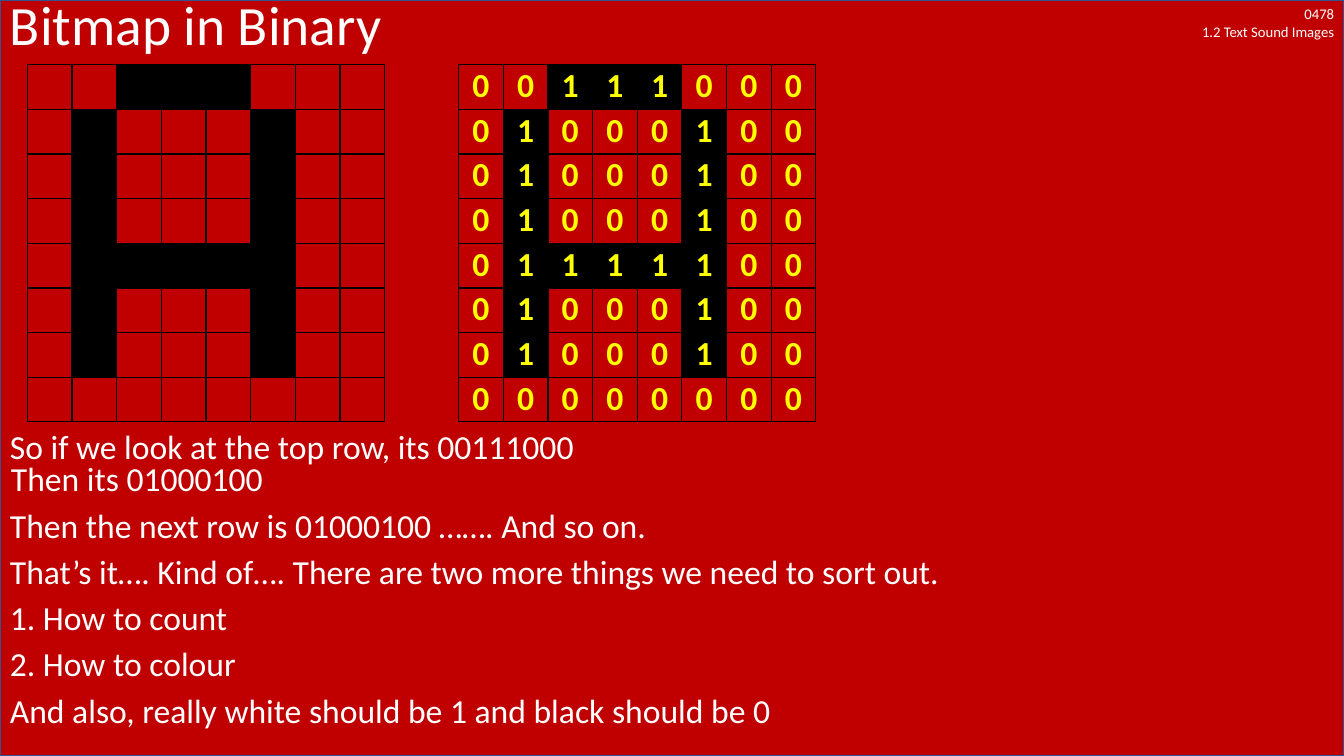
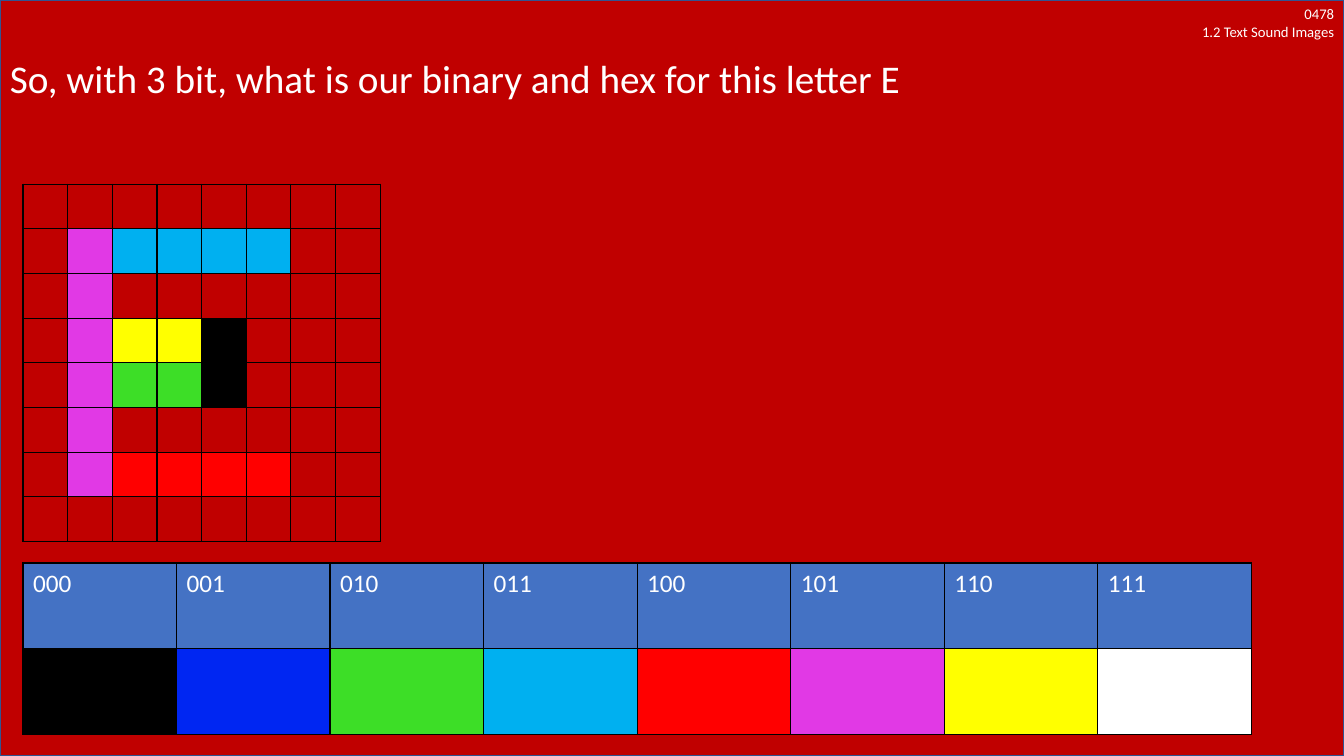
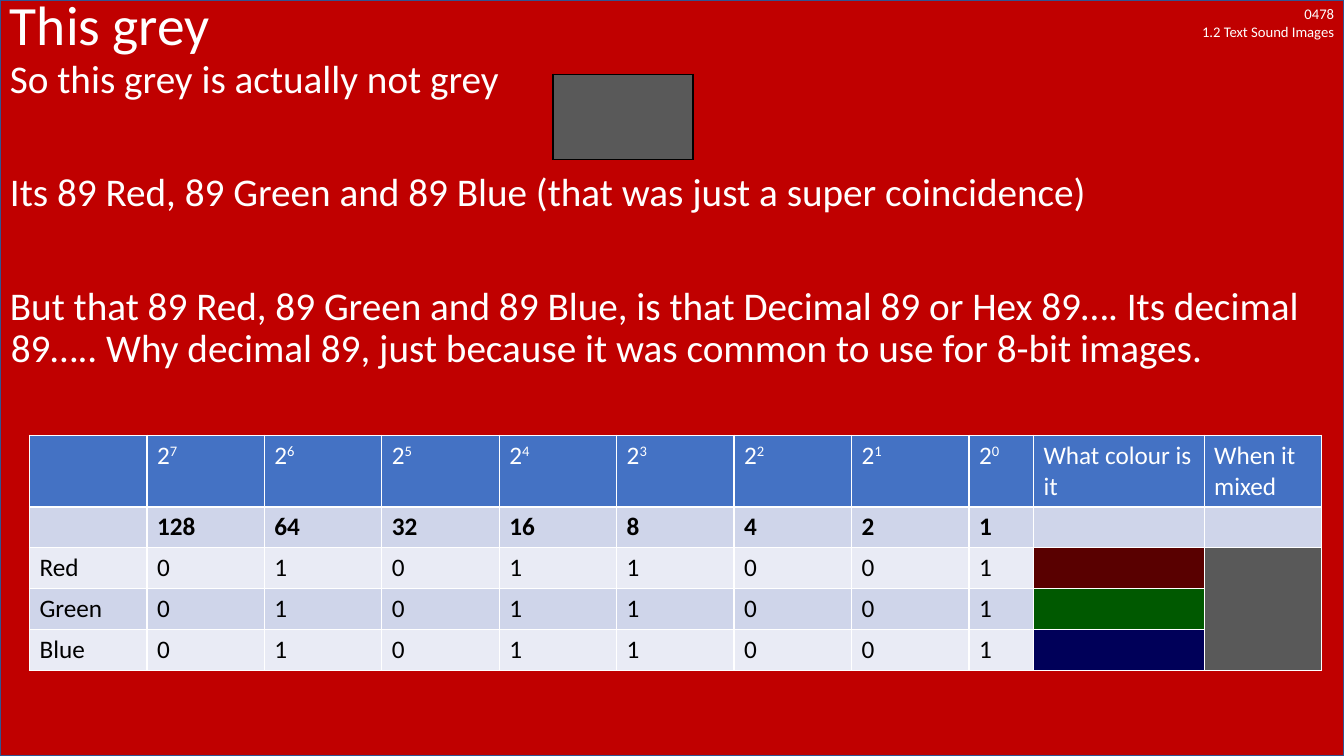
from dataclasses import dataclass
from itertools import chain

from pptx import Presentation
from pptx.dml.color import RGBColor as RGB
from pptx.enum.shapes import MSO_SHAPE as SHAPE
from pptx.enum.text import MSO_ANCHOR as ANCHOR, PP_ALIGN as ALIGN
from pptx.oxml.ns import qn
from pptx.util import Pt
from lxml.etree import SubElement


@dataclass(frozen=True)
class Theme:
    font: str = "Calibri"
    red: str = "C00000"
    edge: str = "325491"
    white: str = "FFFFFF"
    black: str = "000000"
    gold: str = "FFFF00"
    blue: str = "4472C4"
    dark: str = "CFD5EA"
    light: str = "E9EBF5"
    grey: str = "595959"
    title: float = 39.6
    body: float = 28
    bits: float = 24
    cell: float = 18
    note: float = 10.5


T = Theme()
WIDE, HIGH = 960, 540
TOP = 39       # lower edge of the title band
SIDE = 31.9    # side of one pixel in a bitmap
TAG = "0478\n1.2 Text Sound Images"

LETTER_A = ["00111000", "01000100", "01000100", "01000100",
            "01111100", "01000100", "01000100", "00000000"]
STEPS = [
    "So if we look at the top row, its 00111000\nThen its 01000100",
    "Then the next row is 01000100 ……. And so on.",
    "That’s it…. Kind of…. There are two more things we need to sort out.",
    "1. How to count",
    "2. How to colour",
    "And also, really white should be 1 and black should be 0",
]

PALETTE = ["000000", "0026F2", "3DDE27", "00B0F0",
           "FF0000", "E139E5", "FFFF00", "FFFFFF"]
# Each digit is an index into PALETTE; a dot is an empty pixel.
LETTER_E = ["........", ".53333..", ".5......", ".5660...",
            ".5220...", ".5......", ".54444..", "........"]
ASK = ["So, with 3 bit, what is our binary and hex for this letter E"]

GREY = [
    "So this grey is actually not grey",
    "Its 89 Red, 89 Green and 89 Blue (that was just a super coincidence)",
    "But that 89 Red, 89 Green and 89 Blue, is that Decimal 89 or Hex 89…. "
    "Its decimal 89….. Why decimal 89, just because it was common to use "
    "for 8-bit images.",
]
LEVEL = 89
POWERS = range(7, -1, -1)
MIXES = [("Red", "590000"), ("Green", "005900"), ("Blue", "000059")]


def put(frame, paras, size=T.cell, color=T.white, bold=False,
        align=ALIGN.LEFT, line=1.0, gap=0, hang=0):
    """Fill a text frame; a newline breaks a line, ^ raises what follows."""
    frame.word_wrap = True
    for i, text in enumerate(paras):
        para = frame.add_paragraph() if i else frame.paragraphs[0]
        para.alignment, para.line_spacing = align, line
        if i and gap:
            para.space_before = Pt(gap)
        if hang:
            props = para._p.get_or_add_pPr()
            props.set("marL", str(Pt(hang)))
            props.set("indent", str(-Pt(hang)))
        for j, part in enumerate(text.split("\n")):
            if j:
                para.add_line_break()
            for k, bit in enumerate(part.split("^")):
                run = para.add_run()
                run.text = bit
                font = run.font
                font.name, font.size, font.bold = T.font, Pt(size), bold
                font.color.rgb = RGB.from_string(color)
                if k:
                    run._r.get_or_add_rPr().set("baseline", "30000")


def box(slide, left, top, width, height, paras, anchor=ANCHOR.TOP, **form):
    shape = slide.shapes.add_textbox(Pt(left), Pt(top), Pt(width), Pt(height))
    shape.text_frame.vertical_anchor = anchor
    put(shape.text_frame, paras, **form)


def rule(cell, color):
    """Draw a 1 pt border on all four sides."""
    props = cell._tc.get_or_add_tcPr()
    for side in ("a:lnL", "a:lnR", "a:lnT", "a:lnB"):
        line = SubElement(props, qn(side), w=str(Pt(1)))
        fill = SubElement(line, qn("a:solidFill"))
        SubElement(fill, qn("a:srgbClr"), val=color)


def grid(slide, left, top, cols, rows, cells, edge=T.black, inset=None):
    """Add a table; every cell is (text, fill or None, text format)."""
    table = slide.shapes.add_table(
        len(rows), len(cols), Pt(left), Pt(top),
        Pt(sum(cols)), Pt(sum(rows))).table
    table.first_row = table.horz_banding = False
    for col, width in zip(table.columns, cols):
        col.width = Pt(width)
    for row, height in zip(table.rows, rows):
        row.height = Pt(height)
    for cell, (text, fill, form) in zip(table.iter_cells(),
                                        chain.from_iterable(cells)):
        rule(cell, edge)
        if fill:
            cell.fill.solid()
            cell.fill.fore_color.rgb = RGB.from_string(fill)
        else:
            cell.fill.background()
        if inset is not None:
            cell.margin_left = cell.margin_right = Pt(inset)
            cell.margin_top = cell.margin_bottom = Pt(inset)
        if text:
            put(cell.text_frame, [text], **form)
    return table


def bitmap(slide, left, top, rows, inks, show=False):
    form = dict(size=T.bits, color=T.gold, bold=True, align=ALIGN.CENTER)
    cells = [[(bit if show else "", inks.get(bit), form) for bit in row]
             for row in rows]
    grid(slide, left, top, [SIDE] * len(rows[0]), [SIDE] * len(rows),
         cells, inset=0.72)


def page(deck, title=None):
    """Add a slide with the red ground, the tag and an optional title."""
    slide = deck.slides.add_slide(deck.slide_layouts[6])
    back = slide.shapes.add_shape(SHAPE.RECTANGLE, 0, 0, Pt(WIDE), Pt(HIGH))
    back.shadow.inherit = False
    back.fill.solid()
    back.fill.fore_color.rgb = RGB.from_string(T.red)
    back.line.color.rgb = RGB.from_string(T.edge)
    back.line.width = Pt(1)
    box(slide, 809, 0, 151, 32.4, [TAG], size=T.note, align=ALIGN.RIGHT)
    if title:
        box(slide, 0, 0, WIDE, TOP, [title], anchor=ANCHOR.MIDDLE,
            size=T.title, line=0.9)
    return slide


def body(slide, top, paras, size=T.body, line=0.9, gap=10):
    box(slide, 0, top, WIDE, HIGH - top, paras, size=size, line=line,
        gap=gap, hang=0.72)


def binary(deck):
    slide = page(deck, "Bitmap in Binary")
    body(slide, 306.3, STEPS, size=T.bits, line=0.8)
    inks = {"1": T.black}
    bitmap(slide, 327.6, 46.2, LETTER_A, inks, show=True)
    bitmap(slide, 19.6, 46.2, LETTER_A, inks)


def colour(deck):
    slide = page(deck)
    body(slide, TOP, ASK)
    inks = {str(i): ink for i, ink in enumerate(PALETTE)}
    bitmap(slide, 16.4, 131.6, LETTER_E, inks)
    codes = [(f"{i:03b}", T.blue, {}) for i in range(len(PALETTE))]
    inks = [("", ink, {}) for ink in PALETTE]
    grid(slide, 16.4, 402.2, [109.7] * len(PALETTE), [61.2] * 2,
         [codes, inks])


def grey(deck):
    slide = page(deck, "This grey")
    body(slide, TOP, GREY, gap=50.8)
    grid(slide, 395, 53, [100], [61.2], [[("", T.grey, {})]])

    heads = ["", *(f"2^{n}" for n in POWERS),
             "What colour is it", "When it mixed"]
    values = ["", *(str(2 ** n) for n in POWERS), "", ""]
    cells = [[(text, T.blue, {}) for text in heads],
             [(text, T.dark, dict(color=T.black, bold=True))
              for text in values]]
    for i, (name, ink) in enumerate(MIXES):
        band = T.dark if i % 2 else T.light
        row = [(text, band, dict(color=T.black))
               for text in (name, *f"{LEVEL:08b}")]
        cells.append(row + [("", ink, {}), ("", T.grey, {})])
    table = grid(slide, 21.1, 310.9, [83.9] * 8 + [46.1, 121.9, 83.9],
                 [51.2] + [29.2] * 4, cells, edge=T.white)
    table.cell(2, 10).merge(table.cell(4, 10))


def main():
    deck = Presentation()
    deck.slide_width, deck.slide_height = Pt(WIDE), Pt(HIGH)
    for make in (binary, colour, grey):
        make(deck)
    deck.save("out.pptx")


if __name__ == "__main__":
    main()
